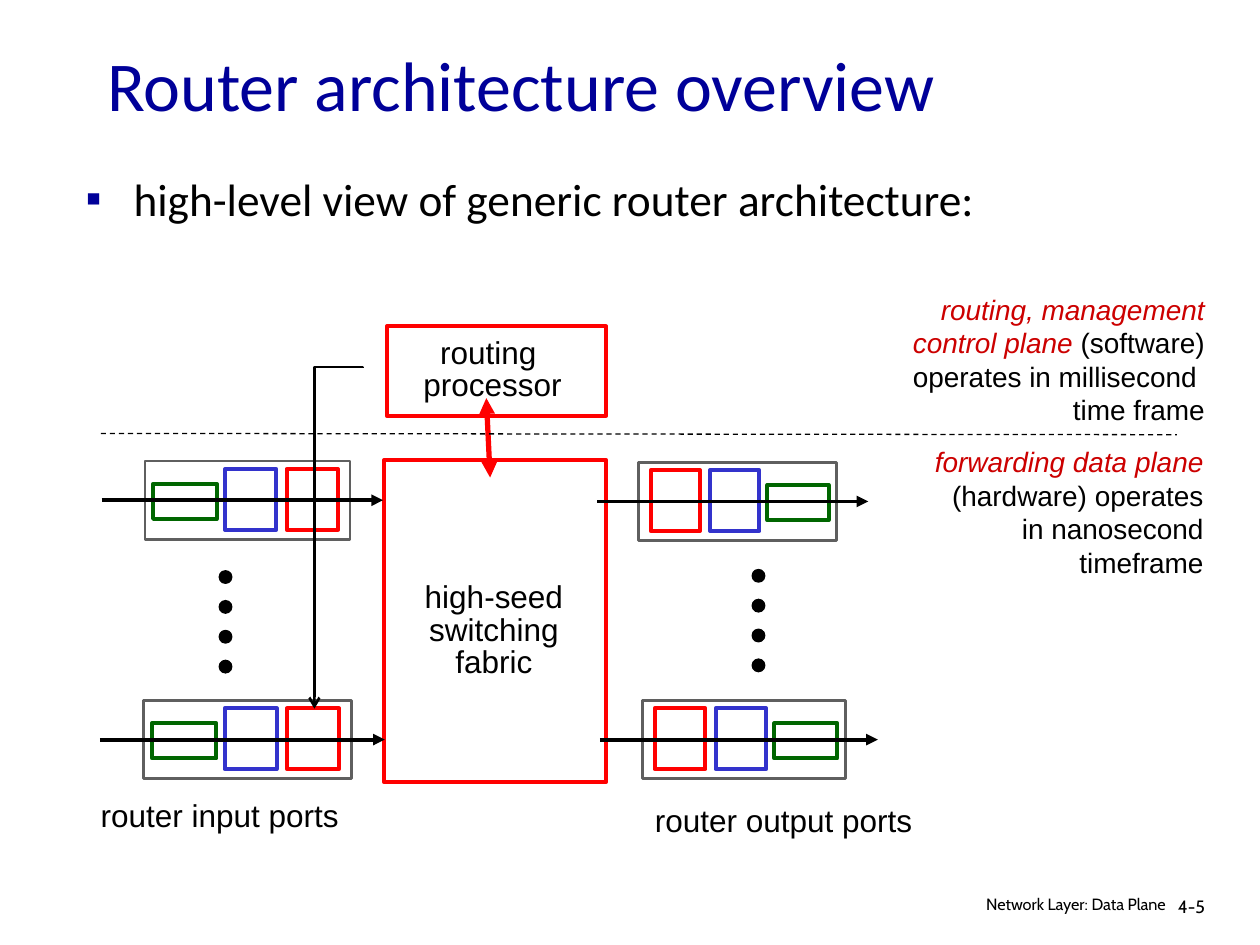
from dataclasses import dataclass

from lxml import etree
from pptx import Presentation
from pptx.dml.color import RGBColor
from pptx.enum.dml import MSO_LINE
from pptx.enum.shapes import MSO_CONNECTOR, MSO_SHAPE
from pptx.enum.text import MSO_ANCHOR, MSO_AUTO_SIZE, PP_ALIGN
from pptx.oxml.ns import qn
from pptx.util import Inches, Pt

RECTANGLE, OVAL = MSO_SHAPE.RECTANGLE, MSO_SHAPE.OVAL
STRAIGHT, ELBOW = MSO_CONNECTOR.STRAIGHT, MSO_CONNECTOR.ELBOW
LEFT, CENTER, RIGHT = PP_ALIGN.LEFT, PP_ALIGN.CENTER, PP_ALIGN.RIGHT
TOP, MIDDLE = MSO_ANCHOR.TOP, MSO_ANCHOR.MIDDLE
NO_FIT = MSO_AUTO_SIZE.NONE
DASH = MSO_LINE.DASH

NAVY = RGBColor(0x00, 0x00, 0x99)
CRIMSON = RGBColor(0xCC, 0x00, 0x00)
RED = RGBColor(0xFF, 0x00, 0x00)
GREEN = RGBColor(0x00, 0x66, 0x00)
BLUE = RGBColor(0x33, 0x33, 0xCC)
GRAY = RGBColor(0x5F, 0x5F, 0x5F)
BLACK = RGBColor(0x00, 0x00, 0x00)
WHITE = RGBColor(0xFF, 0xFF, 0xFF)

COLUMNS, ROWS = 100, 75
SLIDE_WIDTH, SLIDE_HEIGHT = Inches(10), Inches(7.5)


@dataclass(frozen=True)
class Area:
    column: float
    row: float
    columns: float
    rows: float


@dataclass(frozen=True)
class Span:
    text: str
    color: RGBColor = BLACK
    italic: bool = False


@dataclass(frozen=True)
class Label:
    area: Area
    lines: tuple
    size: float
    font: str = "Arial"
    alignment: PP_ALIGN = LEFT
    spacing: float = 1
    wrap: bool = False


@dataclass(frozen=True)
class Stage:
    color: RGBColor
    offset: float
    top: float
    width: float
    height: float


@dataclass(frozen=True)
class Port:
    frame: Area
    mirrored: bool


STAGES = (
    Stage(GREEN, 0.04, 0.29, 0.31, 0.45),
    Stage(BLUE, 0.39, 0.1, 0.25, 0.78),
    Stage(RED, 0.69, 0.1, 0.25, 0.78),
)
PORTS = (
    Port(Area(11.5, 36.6, 16.3, 6.2), False),
    Port(Area(11.4, 55.6, 16.5, 6.2), False),
    Port(Area(50.7, 36.7, 15.7, 6.2), True),
    Port(Area(51, 55.6, 16.1, 6.2), True),
)
FABRIC = Area(30.5, 36.5, 17.6, 25.6)
PROCESSOR = Area(30.7, 25.9, 17.4, 7.1)
DOT_STARTS = ((17.4, 45.3), (59.7, 45.2))
DOT_COUNT, DOT_STEP, DOT_SIZE = 4, 2.37, 1

LABELS = (
    Label(Area(32.4, 45.8, 13.6, 8.7),
          ((Span("high-seed "),), (Span("switching"),), (Span("fabric"),)),
          18, alignment=CENTER, spacing=0.85),
    Label(Area(32.6, 26.4, 13, 6.1),
          ((Span("routing "),), (Span("processor"),)),
          18, alignment=CENTER, spacing=0.85),
    Label(Area(7, 62.7, 20.9, 4), ((Span("router input ports"),),), 18),
    Label(Area(51, 63.1, 22.4, 4), ((Span("router output ports"),),), 18),
    Label(Area(72.6, 34.8, 23.9, 11.7),
          ((Span("forwarding data plane ", CRIMSON, True),
            Span("(hardware) operates in nanosecond timeframe")),),
          16, alignment=RIGHT, wrap=True),
    Label(Area(65.1, 22.7, 31.5, 11.7),
          ((Span("routing, management", CRIMSON, True),),
           (Span("control plane ", CRIMSON, True), Span("(software)")),
           (Span("operates in millisecond "),),
           (Span("time frame"),)),
          16, alignment=RIGHT, wrap=True),
    Label(Area(92.5, 70.8, 6.1, 3), ((Span("4-5"),),),
          10.2, "Cabin", spacing=0.9, wrap=True),
    Label(Area(69.7, 70.8, 23.8, 2.6), ((Span("Network Layer: Data Plane"),),),
          9.3, "Cabin", RIGHT, 0.8, True),
)


def across(columns: float) -> int:
    return round(SLIDE_WIDTH * columns / COLUMNS)


def down(rows: float) -> int:
    return round(SLIDE_HEIGHT * rows / ROWS)


def box(area: Area) -> tuple:
    return across(area.column), down(area.row), across(area.columns), down(area.rows)


def apply_format(target, values: dict) -> None:
    for name, value in values.items():
        setattr(target, name, value)


def draw_shape(slide, kind, area: Area, fill: RGBColor, line: RGBColor, width: float) -> None:
    shape = slide.shapes.add_shape(kind, *box(area))
    shape.shadow.inherit = False
    shape.fill.solid()
    shape.fill.fore_color.rgb = fill
    shape.line.color.rgb = line
    shape.line.width = Pt(width)


def draw_line(slide, start: tuple, end: tuple, color: RGBColor, width: float,
              ends: dict, kind=STRAIGHT, dash=None):
    connector = slide.shapes.add_connector(
        kind, across(start[0]), down(start[1]), across(end[0]), down(end[1]))
    connector.line.color.rgb = color
    apply_format(connector.line, {"width": Pt(width), "dash_style": dash})
    properties = connector._element.spPr
    outline = properties.find(qn("a:ln"))
    for tag, arrow in ends.items():
        etree.SubElement(outline, qn(tag), type=arrow)
    etree.SubElement(properties, qn("a:effectLst"))
    return connector


def draw_port(slide, port: Port) -> None:
    frame = port.frame
    draw_shape(slide, RECTANGLE, frame, WHITE, GRAY, 1.5)
    for stage in STAGES:
        offset = 1 - stage.offset - stage.width if port.mirrored else stage.offset
        area = Area(frame.column + offset * frame.columns,
                    frame.row + stage.top * frame.rows,
                    stage.width * frame.columns, stage.height * frame.rows)
        draw_shape(slide, RECTANGLE, area, WHITE, stage.color, 2.25)
    middle = frame.row + frame.rows / 2
    draw_line(slide, (frame.column - 0.21 * frame.columns, middle),
              (frame.column + 1.16 * frame.columns, middle),
              BLACK, 2.25, {"a:tailEnd": "triangle"})


def draw_dots(slide, column: float, row: float) -> None:
    for index in range(DOT_COUNT):
        area = Area(column, row + index * DOT_STEP, DOT_SIZE, DOT_SIZE)
        draw_shape(slide, OVAL, area, BLACK, BLACK, 0.75)


def draw_control_path(slide) -> None:
    connector = draw_line(slide, (13.3, 40.8), (40.4, 44.6), BLACK, 1.5,
                          {"a:tailEnd": "arrow"}, ELBOW)
    properties = connector._element.spPr
    properties.find(qn("a:xfrm")).set("rot", "5400000")
    geometry = properties.find(qn("a:prstGeom"))
    guides = geometry.find(qn("a:avLst"))
    if guides is None:
        guides = etree.SubElement(geometry, qn("a:avLst"))
    etree.SubElement(guides, qn("a:gd"), name="adj1", fmla="val -100")


def write_label(slide, label: Label) -> None:
    frame = slide.shapes.add_textbox(*box(label.area)).text_frame
    frame.word_wrap = label.wrap
    for index, spans in enumerate(label.lines):
        paragraph = frame.add_paragraph() if index else frame.paragraphs[0]
        apply_format(paragraph, {"alignment": label.alignment, "line_spacing": label.spacing})
        for span in spans:
            run = paragraph.add_run()
            run.text = span.text
            apply_format(run.font, {"name": label.font, "size": Pt(label.size),
                                    "italic": span.italic})
            run.font.color.rgb = span.color


def fill_placeholder(shape, area: Area, text: str, size: float, color: RGBColor,
                     anchor, spacing: float):
    left, top, width, height = box(area)
    apply_format(shape, {"left": left, "top": top, "width": width, "height": height})
    frame = shape.text_frame
    apply_format(frame, {"auto_size": NO_FIT, "vertical_anchor": anchor, "word_wrap": True})
    paragraph = frame.paragraphs[0]
    apply_format(paragraph, {"alignment": LEFT, "line_spacing": spacing, "space_before": Pt(0)})
    run = paragraph.add_run()
    run.text = text
    apply_format(run.font, {"name": "Calibri", "size": Pt(size)})
    run.font.color.rgb = color
    return paragraph


def add_bullet(paragraph, character: str, color: RGBColor) -> None:
    properties = paragraph._p.get_or_add_pPr()
    apply_format_values = {"marL": Inches(0.38), "indent": -Inches(0.38)}
    for name, value in apply_format_values.items():
        properties.set(name, str(value))
    bullet_color = etree.SubElement(properties, qn("a:buClr"))
    etree.SubElement(bullet_color, qn("a:srgbClr"), val=str(color))
    etree.SubElement(properties, qn("a:buChar"), char=character)


def main() -> None:
    presentation = Presentation()
    apply_format(presentation, {"slide_width": SLIDE_WIDTH, "slide_height": SLIDE_HEIGHT})
    slide = presentation.slides.add_slide(presentation.slide_layouts[1])
    fill_placeholder(slide.shapes.title, Area(7.5, 3.3, 85, 6.7),
                     "Router architecture overview", 40, NAVY, MIDDLE, 1)
    item = fill_placeholder(slide.placeholders[1], Area(5.8, 14.1, 85, 6.4),
                            "high-level view of generic router architecture:",
                            25.9, BLACK, TOP, 0.75)
    add_bullet(item, "▪", NAVY)
    for area in (FABRIC, PROCESSOR):
        draw_shape(slide, RECTANGLE, area, WHITE, RED, 2.25)
    draw_line(slide, (38.6, 31.6), (38.9, 37.9), RED, 3,
              {"a:headEnd": "triangle", "a:tailEnd": "triangle"})
    for port in PORTS:
        draw_port(slide, port)
    for column, row in DOT_STARTS:
        draw_dots(slide, column, row)
    draw_line(slide, (8, 34.4), (93.4, 34.5), BLACK, 0.75, {}, dash=DASH)
    for label in LABELS:
        write_label(slide, label)
    draw_control_path(slide)
    presentation.save("out.pptx")


if __name__ == "__main__":
    main()
